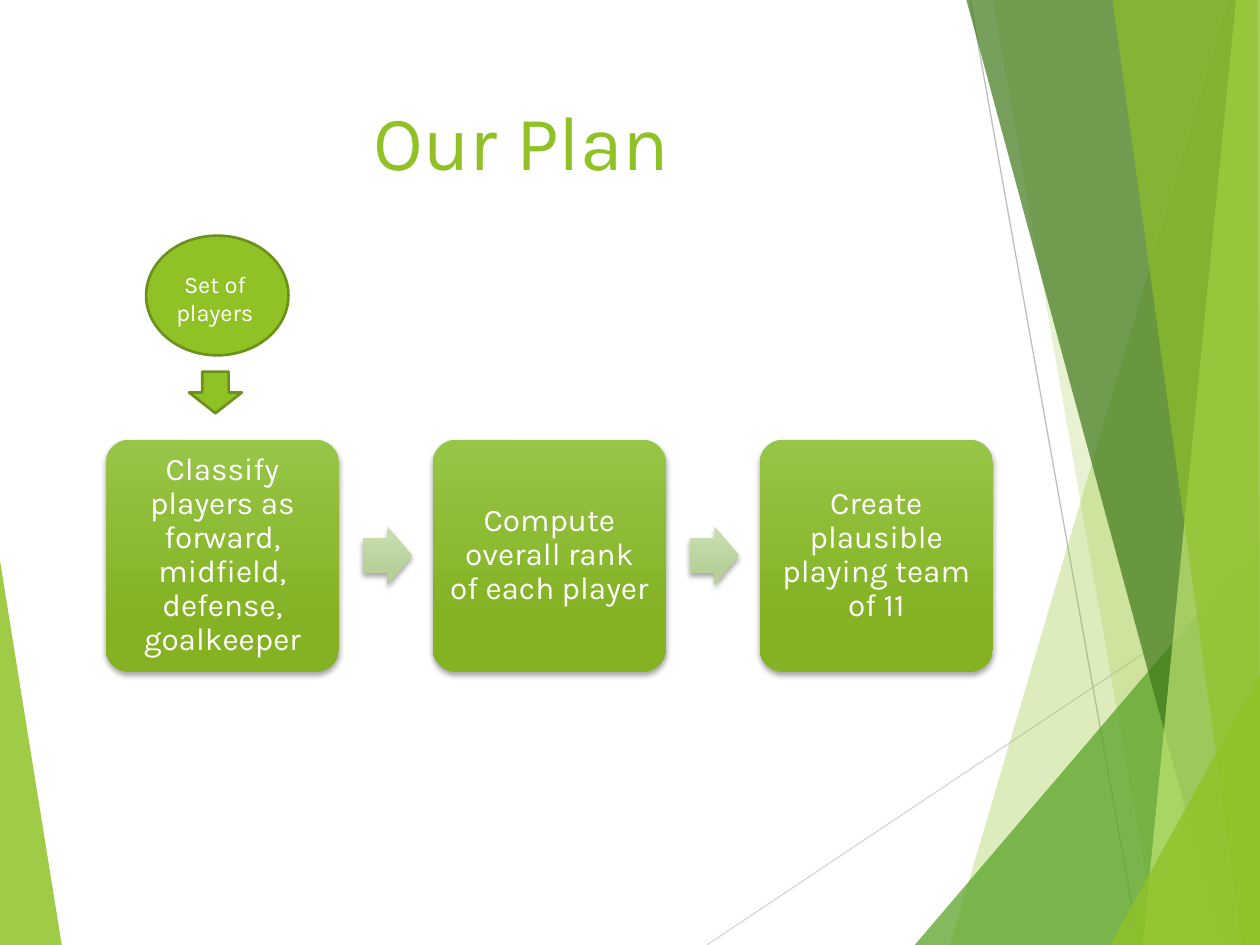
from lxml import etree
from pptx import Presentation
from pptx.dml.color import RGBColor
from pptx.enum import shapes, text
from pptx.oxml import parse_xml
from pptx.oxml.ns import qn
from pptx.util import Inches, Pt

GREEN = RGBColor(0x90, 0xC2, 0x26)
MID_GREEN = RGBColor(0x54, 0xA0, 0x21)
DARK_GREEN = RGBColor(0x3F, 0x78, 0x19)
LIME = RGBColor(0xC0, 0xE4, 0x74)
OUTLINE = RGBColor(0x6B, 0x90, 0x1C)
CARD_COLORS = RGBColor(0x97, 0xC5, 0x47), RGBColor(0x84, 0xB2, 0x23)
ARROW_COLORS = RGBColor(0xC9, 0xDF, 0xB1), RGBColor(0xB6, 0xD0, 0x98)
LIGHT_GRAY = RGBColor(0xD9, 0xD9, 0xD9)
GRAY = RGBColor(0xBF, 0xBF, 0xBF)
WHITE = RGBColor(0xFF, 0xFF, 0xFF)

SHADOW = (
    '<a:outerShdw xmlns:a="http://schemas.openxmlformats.org/drawingml/2006/main" '
    'blurRad="38100" dist="25400" dir="5400000" algn="ctr" rotWithShape="0">'
    '<a:srgbClr val="000000"><a:alpha val="35000"/></a:srgbClr></a:outerShdw>'
)


def style_gradient(shape, colors):
    """Vertical gradient, no outline, soft shadow below."""
    shape.fill.gradient()
    shape.fill.gradient_angle = 270
    for stop, position, color in zip(shape.fill.gradient_stops, (0, 0.78), colors):
        stop.position = position
        stop.color.rgb = color
    shape.line.fill.background()
    shape.shadow.inherit = False
    shape._element.spPr.find(qn("a:effectLst")).append(parse_xml(SHADOW))


def write_text(shape, words, size, color, inset, anchor):
    frame = shape.text_frame
    frame.text = words
    frame.word_wrap = True
    frame.vertical_anchor = anchor
    frame.margin_left = frame.margin_right = Inches(inset)
    frame.margin_top = frame.margin_bottom = Inches(min(inset, 0.07))
    paragraph = frame.paragraphs[0]
    paragraph.alignment = text.PP_ALIGN.CENTER
    font = paragraph.runs[0].font
    font.name, font.size, font.color.rgb = "Karla", Pt(size), color
    return paragraph


presentation = Presentation()
presentation.slide_width, presentation.slide_height = Inches(10), Inches(7.5)
slide = presentation.slides.add_slide(presentation.slide_layouts[6])

# Thin background lines
for x1, y1, x2, y2, color in (
    (5.61, 7.5, 10, 4.57, LIGHT_GRAY),
    (7.7, 0, 9.04, 7.5, GRAY),
):
    line = slide.shapes.add_connector(
        shapes.MSO_CONNECTOR.STRAIGHT, Inches(x1), Inches(y1), Inches(x2), Inches(y2)
    )
    line.line.color.rgb = color
    line.line.width = Pt(0.75)
    etree.SubElement(line._element.spPr, qn("a:effectLst"))

# Translucent facets: colour, opacity in percent, corners
facets = (
    (GREEN, 85, [(0, 4.45), (0.49, 7.5), (0, 7.5)]),
    (GREEN, 30, [(9.75, 0), (7.54, 7.5), (10, 7.5), (10, 0)]),
    (GREEN, 20, [(7.88, 0), (9.19, 7.5), (10, 7.5), (10, 0)]),
    (MID_GREEN, 72, [(7.26, 7.5), (10, 4.29), (10, 7.5)]),
    (DARK_GREEN, 70, [(7.67, 0), (9.7, 7.5), (10, 7.5), (10, 0)]),
    (LIME, 70, [(9.81, 0), (9.07, 7.5), (10, 7.5), (10, 0)]),
    (GREEN, 65, [(8.83, 0), (9.86, 7.5), (10, 7.5), (9.98, 0)]),
    (GREEN, 80, [(8.81, 7.5), (10, 5.35), (10, 7.5)]),
)
for color, opacity, corners in facets:
    points = [(Inches(x), Inches(y)) for x, y in corners]
    builder = slide.shapes.build_freeform(*points[0])
    builder.add_line_segments(points[1:], close=True)
    facet = builder.convert_to_shape()
    facet.fill.solid()
    facet.fill.fore_color.rgb = color
    color_element = facet._element.spPr.find(qn("a:solidFill"))[0]
    etree.SubElement(color_element, qn("a:alpha"), val=str(opacity * 1000))
    facet.line.fill.background()
    facet.shadow.inherit = False

# Title
title = slide.shapes.add_textbox(Inches(0.67), Inches(0.67), Inches(6.94), Inches(1.44))
write_text(title, "Our Plan", 44, GREEN, 0.1, text.MSO_ANCHOR.TOP)

# Three steps with arrows between them
steps = (
    "Classify players as forward, midfield, defense, goalkeeper",
    "Compute overall rank of each player",
    "Create plausible playing team of 11",
)
for index, step in enumerate(steps):
    left = 0.84 + index * 2.595
    card = slide.shapes.add_shape(
        shapes.MSO_SHAPE.ROUNDED_RECTANGLE,
        Inches(left), Inches(3.49), Inches(1.85), Inches(1.84),
    )
    card.adjustments[0] = 0.1
    style_gradient(card, CARD_COLORS)
    paragraph = write_text(card, step, 18, WHITE, 0.07, text.MSO_ANCHOR.MIDDLE)
    paragraph.line_spacing = 0.9
    if index < len(steps) - 1:
        arrow = slide.shapes.add_shape(
            shapes.MSO_SHAPE.RIGHT_ARROW,
            Inches(left + 2.04), Inches(4.18), Inches(0.39), Inches(0.46),
        )
        arrow.adjustments[0] = 0.6
        style_gradient(arrow, ARROW_COLORS)

# Input to the first step
player_set = slide.shapes.add_shape(
    shapes.MSO_SHAPE.OVAL, Inches(1.16), Inches(1.87), Inches(1.13), Inches(0.95)
)
down_arrow = slide.shapes.add_shape(
    shapes.MSO_SHAPE.DOWN_ARROW, Inches(1.5), Inches(2.95), Inches(0.42), Inches(0.33)
)
for shape in (player_set, down_arrow):
    shape.fill.solid()
    shape.fill.fore_color.rgb = GREEN
    shape.line.color.rgb = OUTLINE
    shape.line.width = Pt(1.5)
    shape.shadow.inherit = False
player_label = slide.shapes.add_textbox(
    Inches(1.28), Inches(2.07), Inches(0.85), Inches(0.56)
)
write_text(player_label, "Set of players", 13.5, WHITE, 0.1, text.MSO_ANCHOR.TOP)

presentation.save("out.pptx")
